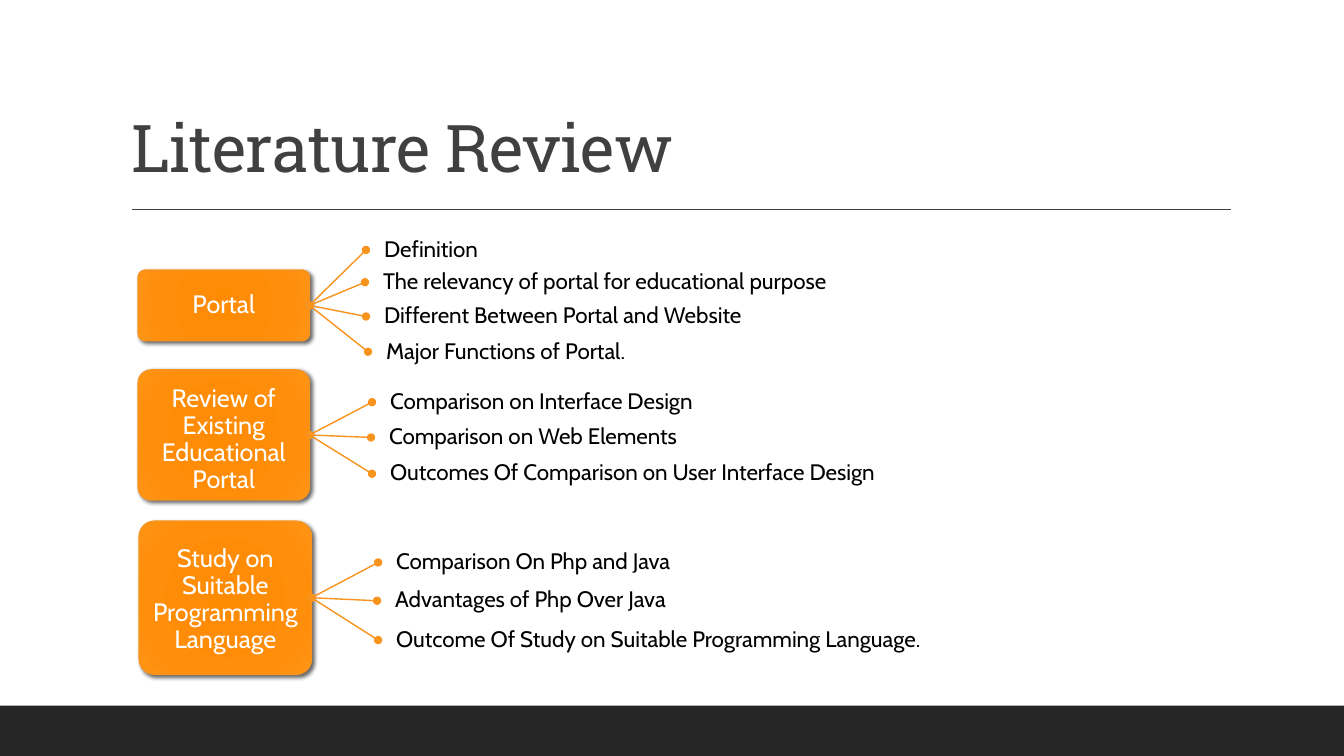
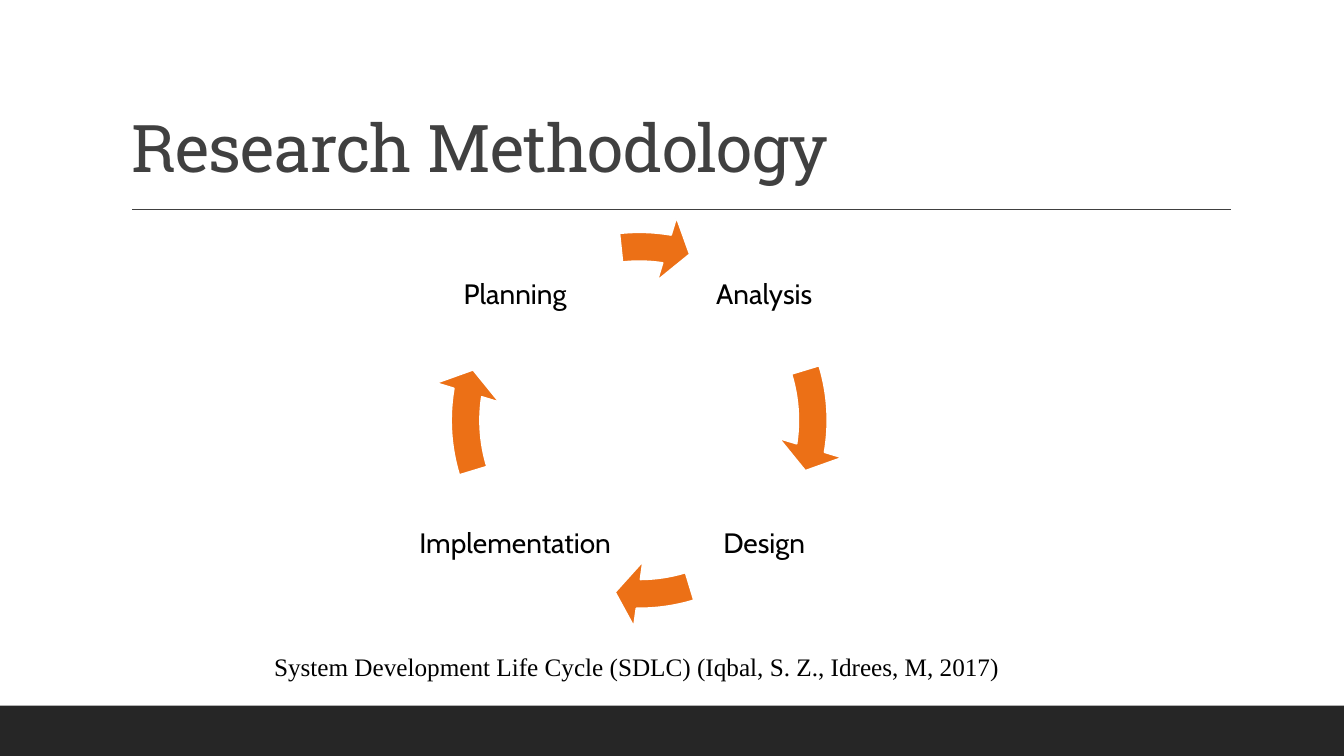
from dataclasses import dataclass

from pptx import Presentation
from pptx.dml.color import RGBColor
from pptx.enum.shapes import MSO_CONNECTOR, MSO_SHAPE
from pptx.enum.text import MSO_ANCHOR, MSO_AUTO_SIZE, PP_ALIGN
from pptx.oxml import parse_xml
from pptx.oxml.ns import nsdecls, qn
from pptx.util import Inches, Pt

RECTANGLE = MSO_SHAPE.RECTANGLE
ROUNDED = MSO_SHAPE.ROUNDED_RECTANGLE
CIRCULAR_ARROW = MSO_SHAPE.CIRCULAR_ARROW
STRAIGHT = MSO_CONNECTOR.STRAIGHT
LEFT, CENTER = PP_ALIGN.LEFT, PP_ALIGN.CENTER
TOP, MIDDLE, BOTTOM = MSO_ANCHOR.TOP, MSO_ANCHOR.MIDDLE, MSO_ANCHOR.BOTTOM
NO_AUTOFIT = MSO_AUTO_SIZE.NONE
TITLE_ONLY = 5


@dataclass(frozen=True)
class Theme:
    title_font: str = "Roboto Slab"
    body_font: str = "Cabin"
    caption_font: str = "Times New Roman"
    title_size: float = 47
    topic_size: float = 18
    point_size: float = 16
    stage_size: float = 20
    caption_size: float = 18
    title: str = "404040"
    text: str = "000000"
    white: str = "FFFFFF"
    footer: str = "262626"
    branch: str = "F8931D"
    arrow: str = "EC7016"
    topic_stops: tuple = ((0, "FF8B03"), (34, "FF8C06"), (70, "FF8E0A"), (100, "FF9416"))


THEME = Theme()

# Topic, box (left, top, width, height), extra top inset, points with branch tips
TOPICS = [
    ("Portal", (1.37, 2.68, 1.7, 0.7), 0, [
        ("Definition", 3.63, 2.48),
        ("The relevancy of portal for educational purpose", 3.62, 2.8),
        ("Different Between Portal and Website", 3.63, 3.14),
        ("Major Functions of Portal.", 3.65, 3.49),
    ]),
    ("Review of Existing Educational Portal", (1.37, 3.67, 1.7, 1.29), 0.1, [
        ("Comparison on Interface Design", 3.69, 3.99),
        ("Comparison on Web Elements", 3.68, 4.34),
        ("Outcomes Of Comparison on User Interface Design", 3.69, 4.7),
    ]),
    ("Study on Suitable Programming Language", (1.38, 5.17, 1.71, 1.52), 0.04, [
        ("Comparison On Php and Java", 3.75, 5.58),
        ("Advantages of Php Over Java", 3.74, 5.96),
        ("Outcome Of Study on Suitable Programming Language.", 3.75, 6.35),
    ]),
]

# Stage, column, row, and the end and start angles of the arrow that leaves it
STAGES = [
    ("Analysis", 1, 0, 5.5, 205.85),
    ("Design", 1, 1, 54.15, 43.85),
    ("Implementation", 0, 1, 113.5, 97.85),
    ("Planning", 0, 0, 167.5, 158.38),
]


def inches(*lengths):
    return [Inches(length) for length in lengths]


def rgb(code):
    return RGBColor.from_string(code)


def write(frame, text, font, size, color, align=LEFT, anchor=MIDDLE, inset=0.01, spacing=0.9):
    """Fill a text frame with one formatted paragraph and return its run."""
    frame.text = text
    frame.word_wrap = True
    frame.auto_size = NO_AUTOFIT
    frame.vertical_anchor = anchor
    frame.margin_left = frame.margin_right = Inches(inset)
    frame.margin_top = frame.margin_bottom = Inches(inset)
    paragraph = frame.paragraphs[0]
    paragraph.alignment = align
    paragraph.line_spacing = spacing
    run = paragraph.runs[0]
    run.font.name = font
    run.font.size = Pt(size)
    run.font.color.rgb = rgb(color)
    return run


def add_label(slide, box, text, font, size, **layout):
    label = slide.shapes.add_textbox(*inches(*box))
    write(label.text_frame, text, font, size, THEME.text, **layout)


def add_preset(slide, preset, box, fill, outline=None, width=1):
    shape = slide.shapes.add_shape(preset, *inches(*box))
    shape.shadow.inherit = False
    shape.fill.solid()
    shape.fill.fore_color.rgb = rgb(fill)
    if outline:
        shape.line.color.rgb = rgb(outline)
        shape.line.width = Pt(width)
    else:
        shape.line.fill.background()
    return shape


def add_rule(slide, start, end, color, dotted_ends=False):
    """Draw a straight line, optionally with a round dot at each end."""
    rule = slide.shapes.add_connector(STRAIGHT, *inches(*start, *end))
    rule.line.color.rgb = rgb(color)
    rule.line.width = Pt(1)
    properties = rule._element.spPr
    if dotted_ends:
        for tag in ("headEnd", "tailEnd"):
            properties.find(qn("a:ln")).append(
                parse_xml(f'<a:{tag} {nsdecls("a")} type="oval"/>'))
    properties.append(parse_xml(f'<a:effectLst {nsdecls("a")}/>'))


def add_radial_glow(shape):
    """Give a shape the radial topic gradient and a soft drop shadow."""
    properties = shape._element.spPr
    stops = "".join(
        f'<a:gs pos="{percent * 1000}"><a:srgbClr val="{color}"/></a:gs>'
        for percent, color in THEME.topic_stops)
    gradient = parse_xml(
        f'<a:gradFill {nsdecls("a")}><a:gsLst>{stops}</a:gsLst><a:path path="circle">'
        '<a:fillToRect l="100000" t="100000" r="100000" b="100000"/></a:path></a:gradFill>')
    properties.replace(properties.find(qn("a:solidFill")), gradient)
    properties.find(qn("a:effectLst")).append(parse_xml(
        f'<a:outerShdw {nsdecls("a")} blurRad="{Pt(3)}" dist="{Pt(2)}" dir="2700000">'
        '<a:srgbClr val="000000"><a:alpha val="60000"/></a:srgbClr></a:outerShdw>'))


def add_titled_slide(deck, heading):
    slide = deck.slides.add_slide(deck.slide_layouts[TITLE_ONLY])
    add_preset(slide, RECTANGLE, (0, 7, 13.33, 0.5), THEME.footer)
    add_rule(slide, (1.31, 2.08), (12.21, 2.08), THEME.title)
    title = slide.shapes.title
    title.left, title.top, title.width, title.height = inches(1.2, 0.31, 11, 1.59)
    run = write(title.text_frame, heading, THEME.title_font, THEME.title_size,
                THEME.title, anchor=BOTTOM, inset=0.1)
    title.text_frame.margin_top = title.text_frame.margin_bottom = Inches(0.05)
    run._r.get_or_add_rPr().set("spc", "-50")
    return slide


def add_topic(slide, topic, box, extra_inset, points):
    left, top, width, height = box
    topic_box = add_preset(slide, ROUNDED, box, THEME.branch, THEME.branch)
    topic_box.adjustments[0] = 0.1
    add_radial_glow(topic_box)
    write(topic_box.text_frame, topic, THEME.body_font, THEME.topic_size,
          THEME.white, align=CENTER)
    topic_box.text_frame.margin_top = Inches(0.01 + extra_inset)

    root = (left + width, top + height / 2)
    for point, tip_x, tip_y in points:
        add_rule(slide, root, (tip_x, tip_y), THEME.branch, dotted_ends=True)
        add_label(slide, (tip_x + 0.17, tip_y - 0.2, 6, 0.4), point,
                  THEME.body_font, THEME.point_size)


def add_stage(slide, stage, column, row, end_angle, start_angle):
    pitch = 2.47
    add_label(slide, (4.06 + column * pitch, 2.21 + row * pitch, 2.1, 1.45), stage,
              THEME.body_font, THEME.stage_size, align=CENTER, inset=0.03)
    arrow = add_preset(slide, CIRCULAR_ARROW, (4.29, 2.12, 4.1, 4.1),
                       THEME.arrow, THEME.white, 1.25)
    for index, value in enumerate((0.07, 4.65, end_angle, start_angle, 0.08)):
        arrow.adjustments[index] = value


def main():
    deck = Presentation()
    deck.slide_width, deck.slide_height = inches(13.33, 7.5)

    review = add_titled_slide(deck, "Literature Review")
    for topic in TOPICS:
        add_topic(review, *topic)

    methodology = add_titled_slide(deck, "Research Methodology")
    for stage in STAGES:
        add_stage(methodology, *stage)
    add_label(methodology, (2.62, 6.36, 10, 0.4),
              "System Development Life Cycle (SDLC) (Iqbal, S. Z., Idrees, M, 2017)",
              THEME.caption_font, THEME.caption_size, anchor=TOP, inset=0.1, spacing=1)

    deck.save("out.pptx")


if __name__ == "__main__":
    main()
